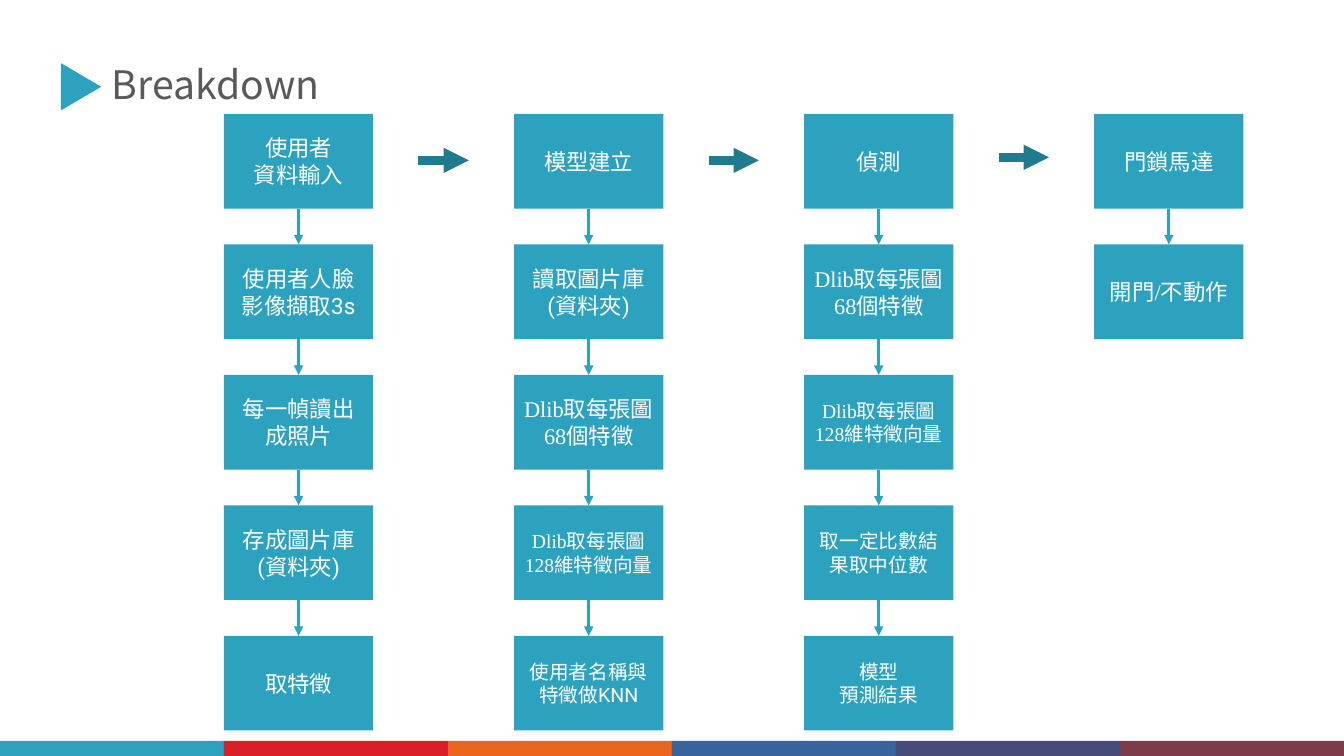
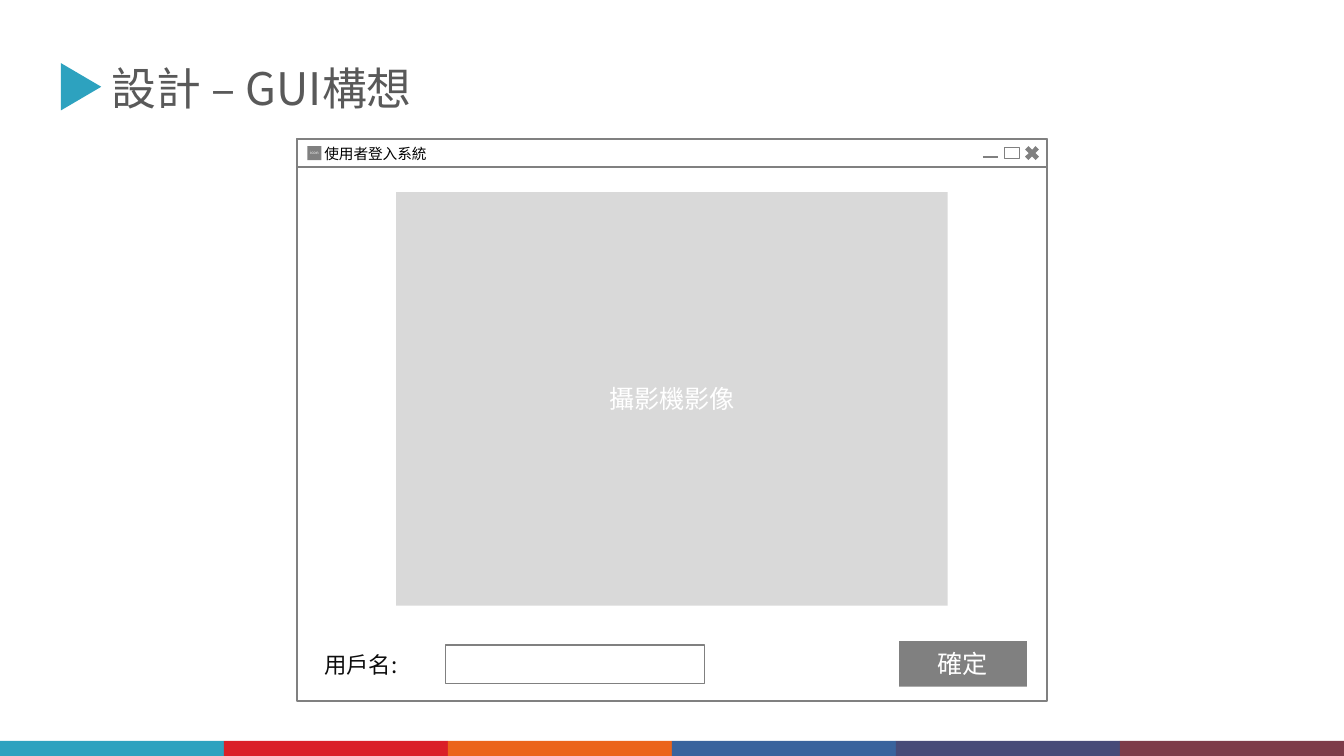
from lxml import etree
from pptx import Presentation
from pptx.dml.color import RGBColor
from pptx.enum import shapes, text
from pptx.oxml import ns
from pptx.util import Pt

INK = dict(teal="2DA2BF", deep="227A8F", red="DA1F28", orange="EB641B",
           blue="39639D", indigo="474B78", wine="7D3C4A", title="595959",
           gray="808080", pale="D9D9D9", white="FFFFFF", black="000000",
           dark="0D0D0D")
BANDS = ["teal", "red", "orange", "blue", "indigo", "wine"]
SANS, ROBOTO, TIMES = "Noto Sans CJK SC", "Roboto", "Times New Roman"
KIND = shapes.MSO_SHAPE
WIDE, HIGH = 960, 540

FLOW = [
    [("使用者\n資料輸入", 16, TIMES),
     ("使用者人臉影像擷取3s", 16, ROBOTO),
     ("每一幀讀出成照片", 16, ROBOTO),
     ("存成圖片庫\n(資料夾)", 16, ROBOTO),
     ("取特徵", 16, ROBOTO)],
    [("模型建立", 16, ROBOTO),
     ("讀取圖片庫\n(資料夾)", 16, ROBOTO),
     ("Dlib取每張圖68個特徵", 16, TIMES),
     ("Dlib取每張圖128維特徵向量", 14, TIMES),
     ("使用者名稱與特徵做KNN", 14, ROBOTO)],
    [("偵測", 16, ROBOTO),
     ("Dlib取每張圖68個特徵", 16, TIMES),
     ("Dlib取每張圖128維特徵向量", 14, TIMES),
     ("取一定比數結果取中位數", 14, TIMES),
     ("模型\n預測結果", 14, TIMES)],
    [("門鎖馬達", 16, ROBOTO),
     ("開門/不動作", 16, TIMES)],
]
LEFT, TOP, STEP_X, STEP_Y = 160, 81.4, 207.2, 93.2
BOX_W, BOX_H, REACH = 106.6, 67.6, 18

FRAMES = [
    ((212.4, 99.4, 535.6, 401.6), 1.5),
    ((212.4, 99.4, 535.6, 20), 1.5),
    ((717.6, 105.2, 10.8, 8), 1),
    ((318.2, 460.8, 185, 27.4), 1),
]
PANELS = [
    ((219.6, 104.4, 10, 10), "gray", "icon", 3),
    ((642.2, 458, 91.4, 32.4), "gray", "確定", 18),
    ((283, 137.2, 394, 295.4), "pale", "攝影機影像", 18),
]
LABELS = [
    ((224.6, 99.4, 217.4, 20), "使用者登入系統", 10.5, "black"),
    ((224.6, 460.8, 93.6, 27.4), "用戶名:", 16, "dark"),
]


def paint(name):
    return RGBColor.from_string(INK[name])


def write(item, words, size, color, font=SANS, center=False, inset=None):
    frame = item.text_frame
    frame.text = words
    frame.word_wrap = True
    frame.vertical_anchor = text.MSO_ANCHOR.MIDDLE
    if inset is not None:
        frame.margin_left = frame.margin_right = Pt(inset)
        frame.margin_top = frame.margin_bottom = Pt(inset)
    for para in frame.paragraphs:
        para.alignment = text.PP_ALIGN.CENTER if center else text.PP_ALIGN.LEFT
        for run in para.runs:
            run.font.size = Pt(size)
            run.font.name = font
            run.font.color.rgb = paint(color)
            east = etree.SubElement(run.font._element, ns.qn("a:ea"))
            east.set("typeface", SANS)


def shape(slide, spot, fill=None, edge=None, kind=KIND.RECTANGLE):
    item = slide.shapes.add_shape(kind, *map(Pt, spot))
    item.shadow.inherit = False
    if fill:
        item.fill.solid()
        item.fill.fore_color.rgb = paint(fill)
    else:
        item.fill.background()
    if edge:
        item.line.color.rgb = paint("gray")
        item.line.width = Pt(edge)
    else:
        item.line.fill.background()
    return item


def label(slide, spot, words, size, color):
    item = slide.shapes.add_textbox(*map(Pt, spot))
    write(item, words, size, color)
    return item


def line(slide, ends, color, width, arrow=True):
    item = slide.shapes.add_connector(shapes.MSO_CONNECTOR.STRAIGHT,
                                      *map(Pt, ends))
    item.line.color.rgb = paint(color)
    item.line.width = Pt(width)
    if arrow:
        tip = etree.SubElement(item.line._get_or_add_ln(), ns.qn("a:tailEnd"))
        tip.set("type", "triangle")
    etree.SubElement(item._element.spPr, ns.qn("a:effectLst"))


def start(deck, title, size, height):
    slide = deck.slides.add_slide(deck.slide_layouts[6])
    head = label(slide, (72.8, 39.6, 373, height), title, size, "title")
    head.text_frame.vertical_anchor = text.MSO_ANCHOR.TOP
    mark = shape(slide, (41, 47.6, 33.8, 28.8), "teal",
                 kind=KIND.ISOSCELES_TRIANGLE)
    mark.rotation = 90
    band = WIDE / len(BANDS)
    for i, color in enumerate(BANDS):
        shape(slide, (i * band, 529.2, band, 10.8), color)
    return slide


def draw_flow(deck):
    slide = start(deck, "Breakdown", 28, 41)
    for col, steps in enumerate(FLOW):
        x = LEFT + col * STEP_X
        mid = x + BOX_W / 2
        for row, (words, size, font) in enumerate(steps):
            y = TOP + row * STEP_Y
            box = shape(slide, (x, y, BOX_W, BOX_H), "teal")
            write(box, words, size, "white", font, True)
            if row:
                line(slide, (mid, y - STEP_Y + BOX_H, mid, y), "teal", 2.25)
        if col:
            gap = x - (STEP_X - BOX_W) / 2
            y = TOP + BOX_H / 2 - (2.8 if col == 3 else 0.6)
            line(slide, (gap - REACH, y, gap + REACH, y), "deep", 6)


def draw_gui(deck):
    slide = start(deck, "設計 – GUI構想", 32, 46)
    for spot, edge in FRAMES:
        shape(slide, spot, edge=edge)
    shape(slide, (730, 102.2, 14.4, 14.4), "gray", kind=KIND.MATH_MULTIPLY)
    line(slide, (702, 112.2, 712.8, 112.2), "gray", 1.5, False)
    for spot, words, size, color in LABELS:
        label(slide, spot, words, size, color)
    for spot, fill, words, size in PANELS:
        panel = shape(slide, spot, fill)
        write(panel, words, size, "white", center=True, inset=1.4)


def main():
    deck = Presentation()
    deck.slide_width, deck.slide_height = Pt(WIDE), Pt(HIGH)
    draw_flow(deck)
    draw_gui(deck)
    deck.save("out.pptx")


if __name__ == "__main__":
    main()
